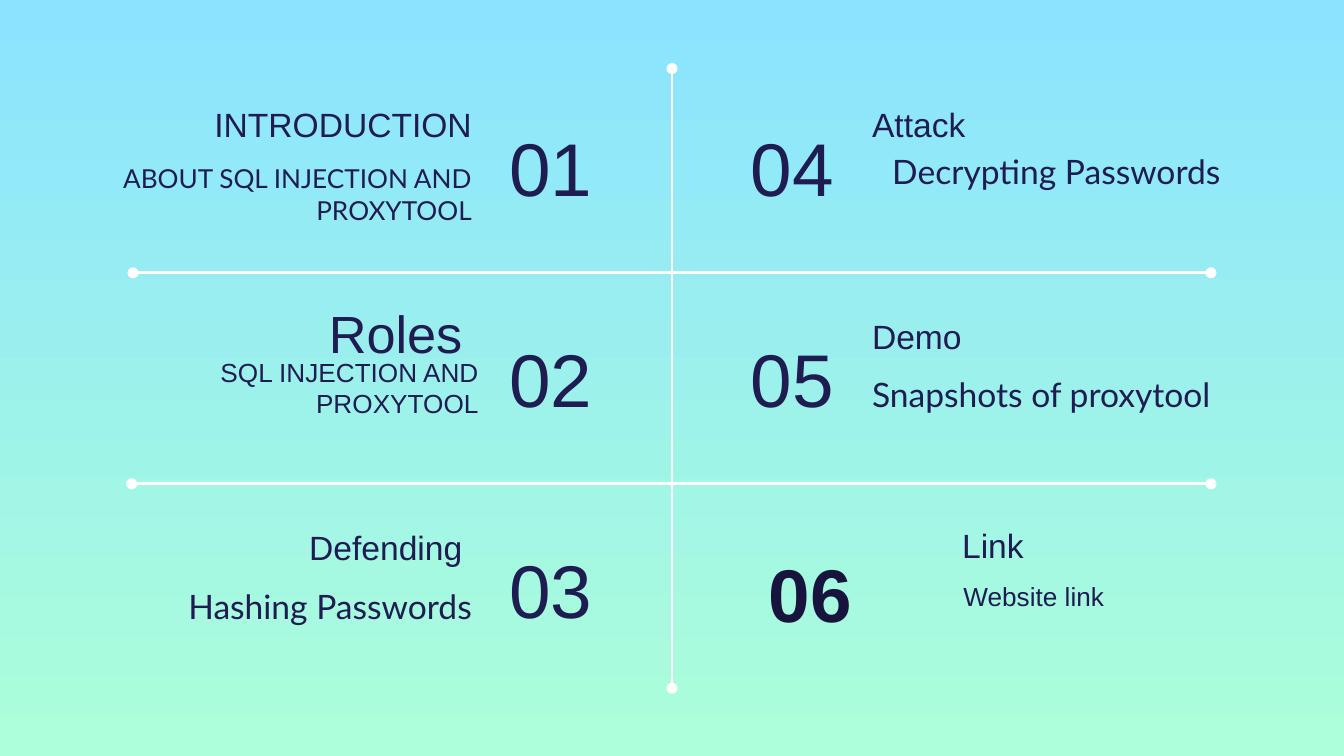
"""Build an agenda slide with six numbered topics in a two-by-three grid."""
from lxml.etree import SubElement
from pptx import Presentation
from pptx.dml.color import RGBColor
from pptx.enum.shapes import MSO_CONNECTOR
from pptx.enum.text import MSO_ANCHOR, PP_ALIGN
from pptx.oxml.ns import qn
from pptx.util import Inches, Pt

NAVY = "1F1C51"
ROW_HEIGHT = 1.57
LEFT, RIGHT = PP_ALIGN.LEFT, PP_ALIGN.RIGHT
TOP, MIDDLE, BOTTOM = MSO_ANCHOR.TOP, MSO_ANCHOR.MIDDLE, MSO_ANCHOR.BOTTOM


def color(value):
    return RGBColor.from_string(value)


def add_text(text, left, top, width, height, size=18, font="Arial", fill=NAVY,
             bold=False, align=LEFT, anchor=TOP, margin=0.1, right_margin=0.1):
    box = slide.shapes.add_textbox(Inches(left), Inches(top), Inches(width), Inches(height))
    frame = box.text_frame
    frame.word_wrap = True
    frame.vertical_anchor = anchor
    frame.margin_left = Inches(0.1)
    frame.margin_right = Inches(right_margin)
    frame.margin_top = frame.margin_bottom = Inches(margin)
    paragraph = frame.paragraphs[0]
    paragraph.alignment = align
    run = paragraph.add_run()
    run.text = text
    run.font.size = Pt(size)
    run.font.name = font
    run.font.bold = bold
    run.font.color.rgb = color(fill)


presentation = Presentation()
presentation.slide_width = Inches(10)
presentation.slide_height = Inches(10) * 9 // 16
slide = presentation.slides.add_slide(presentation.slide_layouts[6])

background = slide.background.fill
background.gradient()
background.gradient_angle = 270
for stop, value, position in zip(background.gradient_stops, ("8BE3FF", "ACFFD9"), (0, 1)):
    stop.color.rgb = color(value)
    stop.position = position

dividers = [(5, 0.51, 5, 5.12), (0.99, 2.03, 9.01, 2.03), (0.98, 3.6, 9.01, 3.6)]
for divider in dividers:
    connector = slide.shapes.add_connector(MSO_CONNECTOR.STRAIGHT, *map(Inches, divider))
    connector.line.color.rgb = color("FFFFFF")
    connector.line.width = Pt(1.5)
    line = connector.line._get_or_add_ln()
    for end in ("a:headEnd", "a:tailEnd"):
        SubElement(line, qn(end), type="oval")
    SubElement(connector._element.spPr, qn("a:effectLst"))

for row in range(3):
    top = 0.81 + row * ROW_HEIGHT
    add_text(f"0{row + 1}", 3.69, top, 1.3, 0.86, size=40, anchor=MIDDLE)
    if row < 2:
        add_text(f"0{row + 4}", 5, top, 1.3, 0.86, size=40, align=RIGHT, anchor=MIDDLE)
add_text("06", 5.62, 4.03, 0.82, 0.77, size=40, fill="17153D", bold=True, margin=0.05)

headings = [
    ("INTRODUCTION", 0.63, 0.67, 2.98, 18, RIGHT, 0.1),
    ("Roles", 0.63, 2.31, 2.98, 28, RIGHT, 0.17),
    ("Defending", 0.63, 3.82, 2.98, 18, RIGHT, 0.17),
    ("Attack", 6.39, 0.67, 2.98, 18, LEFT, 0.1),
    ("Demo", 6.39, 2.25, 1.12, 18, LEFT, 0.1),
]
for text, left, top, width, size, align, right_margin in headings:
    add_text(text, left, top, width, 0.5, size=size, align=align, anchor=BOTTOM,
             right_margin=right_margin)

descriptions = [
    ("ABOUT SQL INJECTION AND PROXYTOOL", 0.63, 1.11, 14, RIGHT),
    ("Hashing Passwords", 0.63, 4.26, 18, RIGHT),
    ("Decrypting Passwords", 6.2, 1.02, 18, RIGHT),
    ("Snapshots of proxytool", 6.39, 2.68, 18, LEFT),
]
for text, left, top, size, align in descriptions:
    add_text(text, left, top, 2.98, 0.69, size=size, font="Lato", align=align)

add_text("SQL INJECTION AND PROXYTOOL", 0.58, 2.6, 3.08, 0.57, size=14, align=RIGHT, margin=0.05)
add_text("Link", 7.06, 3.86, 1.11, 0.4, margin=0.05)
add_text("Website link", 7.07, 4.27, 1.43, 0.34, size=14, margin=0.05)

presentation.save("out.pptx")
